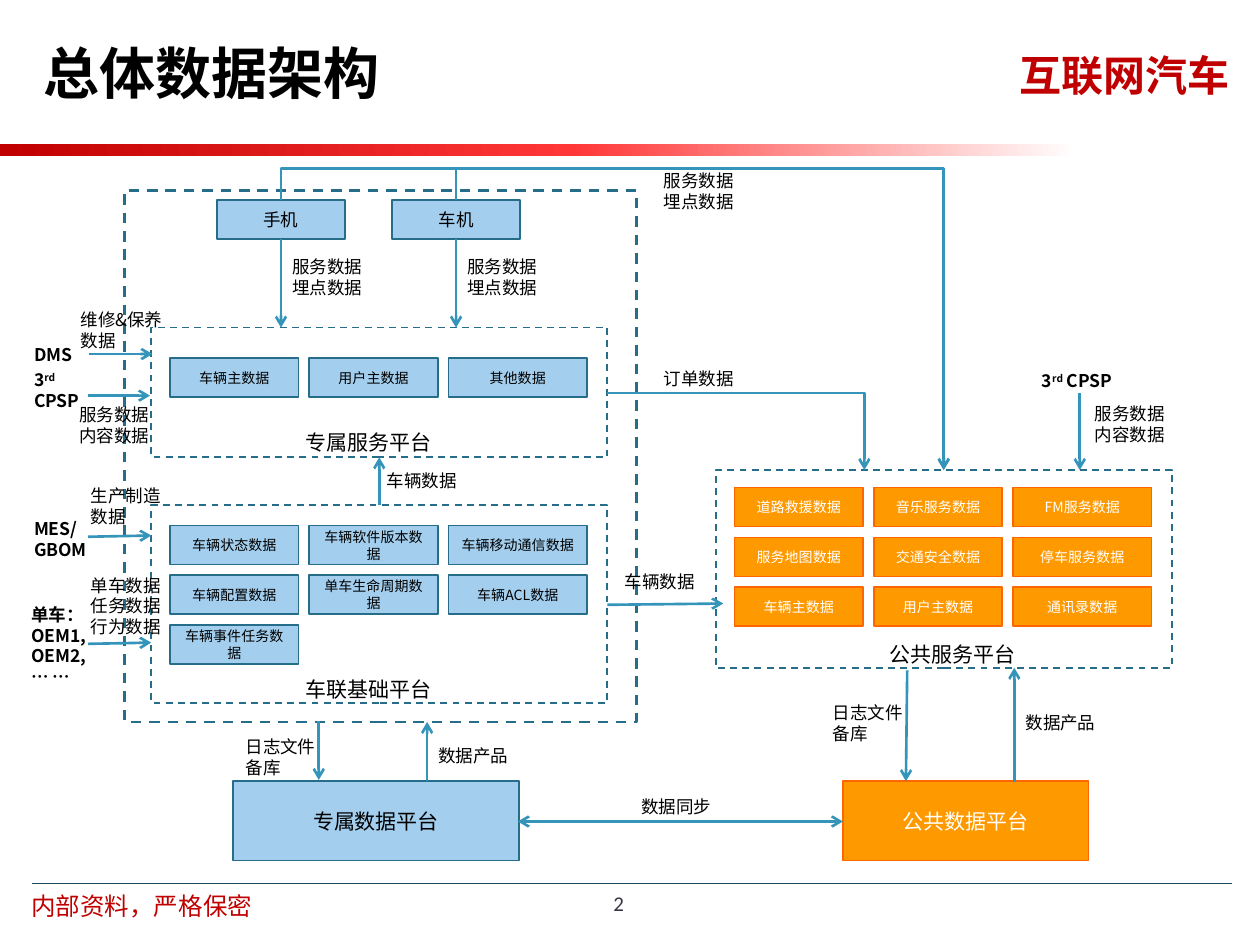
import copy

from lxml import etree
from pptx import Presentation
from pptx import util as u
from pptx.dml.color import RGBColor
from pptx.enum import dml, shapes, text
from pptx.oxml.ns import qn

FONT = "Noto Sans CJK SC"
BLACK = RGBColor(0, 0, 0)
WHITE = RGBColor(0xFF, 0xFF, 0xFF)
RED = RGBColor(0xC0, 0, 0)
BRIGHT_RED = RGBColor(0xFF, 0x37, 0x37)
PALE_BLUE = RGBColor(0xA3, 0xCE, 0xED)
DARK_BLUE = RGBColor(0x26, 0x6D, 0x8A)
ARROW_BLUE = RGBColor(0x34, 0x94, 0xBA)
RULE_BLUE = RGBColor(0x1A, 0x4A, 0x5D)
ORANGE = RGBColor(0xFF, 0x99, 0)
DEEP_ORANGE = RGBColor(0xFF, 0x66, 0)
GREY = RGBColor(0x37, 0x35, 0x45)
LEFT, CENTER = text.PP_ALIGN.LEFT, text.PP_ALIGN.CENTER
TOP, MIDDLE = text.MSO_ANCHOR.TOP, text.MSO_ANCHOR.MIDDLE


def inches(*lengths):
    """Turn plain numbers into lengths."""
    return [u.Inches(length) for length in lengths]


def write(shape, words, size=10, color=BLACK, bold=False, font=FONT,
          align=LEFT, anchor=TOP, margins=(0.1, 0.05)):
    """Fill a shape with lines of text; ^marks^ enclose superscripts."""
    frame = shape.text_frame
    frame.word_wrap = True
    frame.vertical_anchor = anchor
    frame.margin_left = frame.margin_right = u.Inches(margins[0])
    frame.margin_top = frame.margin_bottom = u.Inches(margins[1])
    for i, line in enumerate(words.split("\n")):
        paragraph = frame.add_paragraph() if i else frame.paragraphs[0]
        paragraph.alignment = align
        paragraph.line_spacing = u.Pt(size * 1.2)
        for j, piece in enumerate(line.split("^")):
            if not piece:
                continue
            run = paragraph.add_run()
            run.text = piece
            run.font.size, run.font.bold = u.Pt(size), bold
            run.font.name, run.font.color.rgb = font, color
            properties = run.font._element
            etree.SubElement(properties, qn("a:ea")).set("typeface", font)
            if j % 2:
                properties.set("baseline", "30000")


class Diagram:
    """The current slide and the style of its elements."""

    def __init__(self, slide):
        """Keep the slide to draw on."""
        self.shapes = slide.shapes

    def rect(self, *box):
        """Add a rectangle without a shadow."""
        shape = self.shapes.add_shape(shapes.MSO_SHAPE.RECTANGLE, *inches(*box))
        shape.shadow.inherit = False
        return shape

    def block(self, words, *box, size=8, public=False):
        """Add a filled block, orange for public data and blue otherwise."""
        shape = self.rect(*box)
        shape.fill.solid()
        shape.fill.fore_color.rgb = ORANGE if public else PALE_BLUE
        shape.line.color.rgb = DEEP_ORANGE if public else DARK_BLUE
        shape.line.width = u.Pt(1)
        write(shape, words, size=size, color=WHITE if public else BLACK,
              align=CENTER, anchor=MIDDLE,
              margins=(0, 0) if public else (0.1, 0.05))

    def frame(self, *box, width=1):
        """Add a dashed outline."""
        shape = self.rect(*box)
        shape.fill.background()
        shape.line.color.rgb = DARK_BLUE
        shape.line.width = u.Pt(width)
        shape.line.dash_style = dml.MSO_LINE.DASH

    def platform(self, name, left, top, height, name_at, grid_top, rows, public=False):
        """Add a dashed platform with its name and a three-column grid."""
        self.frame(left, top, 3.62, height)
        for r, row in enumerate(rows):
            for c, words in enumerate(row):
                self.block(words, left + 0.15 + 1.105 * c, grid_top + 0.395 * r,
                           1.1 if c == 2 else 1.02, 0.31, public=public)
        self.text(name, *name_at, 1.47, 0.3, size=12)

    def band(self, box, stops):
        """Add a band with a left-to-right gradient of (position, colour)."""
        shape = self.rect(*box)
        shape.line.fill.background()
        shape.fill.gradient()
        shape.fill.gradient_angle = 0
        first = shape.fill.gradient_stops[0]._gs
        first.addnext(copy.deepcopy(first))
        for stop, (position, color) in zip(shape.fill.gradient_stops, stops):
            stop.position, stop.color.rgb = position, color

    def text(self, words, *box, **style):
        """Add a text box."""
        write(self.shapes.add_textbox(*inches(*box)), words, **style)

    def label(self, words, left, top, width=0.76, bold=False):
        """Add a compact label as high as its lines."""
        self.text(words, left, top, width, 0.17 * (words.count("\n") + 1),
                  bold=bold, margins=(0.04, 0))

    def line(self, start, end, color=ARROW_BLUE, width=1.5, ends=("tailEnd",),
             kind=shapes.MSO_CONNECTOR.STRAIGHT):
        """Add a connector with arrowheads at the given ends."""
        link = self.shapes.add_connector(kind, *inches(*start, *end))
        link.line.color.rgb, link.line.width = color, u.Pt(width)
        outline = link.line._get_or_add_ln()
        for end_name in ends:
            etree.SubElement(outline, qn("a:" + end_name)).set("type", "arrow")
        etree.SubElement(link._element.spPr, qn("a:effectLst"))
        return link

    def elbow(self, start, end, bend, upright=False):
        """Add a bent arrow; an upright one leaves its start vertically."""
        (x1, y1), (x2, y2) = start, end
        if upright:
            mid_x, mid_y = (x1 + x2) / 2, (y1 + y2) / 2
            half_w, half_h = (y2 - y1) / 2, (x2 - x1) / 2
            start = mid_x - half_w, mid_y - half_h
            end = mid_x + half_w, mid_y + half_h
        link = self.line(start, end, kind=shapes.MSO_CONNECTOR.ELBOW)
        properties = link._element.spPr
        if upright:
            transform = properties.find(qn("a:xfrm"))
            transform.set("rot", "16200000")
            transform.set("flipH", "1")
        guide = etree.SubElement(properties.find(".//" + qn("a:avLst")), qn("a:gd"))
        guide.set("name", "adj1")
        guide.set("fmla", f"val {round(bend * 100000)}")


deck = Presentation()
deck.slide_width, deck.slide_height = inches(10, 7.5)
d = Diagram(deck.slides.add_slide(deck.slide_layouts[6]))

# Header and footer
d.band((0, 1.14, 8.56, 0.1), [(0, RED), (0.53, BRIGHT_RED), (1, WHITE)])
d.line((0.25, 7.01), (9.78, 7.01), color=RULE_BLUE, width=0.5, ends=())
d.text("内部资料，严格保密", 0.12, 7.02, 2.01, 0.36, size=14, color=RED, align=CENTER)
d.text("互联网汽车", 7.99, 0.34, 1.87, 0.52, size=24, color=RED, bold=True, align=CENTER)
d.text("总体数据架构", 0.25, 0.11, 7.35, 0.93, size=32, bold=True, anchor=MIDDLE)
d.text("2", 4.67, 6.97, 0.48, 0.4, size=12, color=GREY, font="Calibri",
       align=CENTER, anchor=MIDDLE)

# Platforms
d.platform("车联基础平台", 1.2, 4.01, 1.57, (2.33, 5.32), 4.17, [
    ("车辆状态数据", "车辆软件版本数据", "车辆移动通信数据"),
    ("车辆配置数据", "单车生命周期数据", "车辆ACL数据"),
    ("车辆事件任务数据",)])
d.platform("专属服务平台", 1.2, 2.6, 1.03, (2.33, 3.36), 2.84, [
    ("车辆主数据", "用户主数据", "其他数据")])
d.platform("公共服务平台", 5.68, 3.73, 1.57, (6.96, 5.04), 3.87, [
    ("道路救援数据", "音乐服务数据", "FM服务数据"),
    ("服务地图数据", "交通安全数据", "停车服务数据"),
    ("车辆主数据", "用户主数据", "通讯录数据")], public=True)
d.frame(0.99, 1.51, 4.06, 4.22, width=1.5)
d.block("专属数据平台", 1.85, 6.2, 2.27, 0.63, size=12)
d.block("公共数据平台", 6.69, 6.2, 1.95, 0.63, size=12, public=True)

# Terminals
SERVICE, CONTENT = "服务数据\n埋点数据", "服务数据\n内容数据"
for terminal, x in (("手机", 2.23), ("车机", 3.62)):
    d.block(terminal, x - 0.51, 1.59, 1.02, 0.31, size=10)
    d.line((x, 1.9), (x, 2.6))
    d.label(SERVICE, x + 0.05, 2.03)
    d.elbow((x, 1.59), (7.49, 3.73), -0.117, upright=True)
d.elbow((4.82, 3.12), (6.86, 3.73), 1)

# Data flows
for start, end in [
        ((0.71, 2.81), (1.21, 2.81)), ((0.7, 3.14), (1.19, 3.14)),
        ((0.7, 4.26), (1.2, 4.25)), ((0.7, 5.11), (1.2, 5.1)),
        ((4.82, 4.8), (5.74, 4.79)), ((3.01, 4.01), (3.01, 3.63)),
        ((8.57, 3.12), (8.57, 3.73)), ((2.53, 5.72), (2.53, 6.19)),
        ((3.39, 6.2), (3.39, 5.73)), ((7.2, 5.32), (7.19, 6.2)),
        ((8.05, 6.21), (8.05, 5.3))]:
    d.line(start, end)
d.line((4.11, 6.52), (6.69, 6.52), ends=("headEnd", "tailEnd"))

# Sources
for source, x, y, width in [
        ("DMS", 0.23, 2.73, 0.62), ("3^rd^\nCPSP", 0.23, 2.93, 0.79),
        ("MES/\nGBOM", 0.23, 4.11, 0.62),
        ("单车：\nOEM1,\nOEM2,\n… …", 0.21, 4.79, 0.71),
        ("3^rd^ CPSP", 8.23, 2.94, 0.86)]:
    d.label(source, x, y, width, bold=True)

# Flow names
for flow, x, y in [
        ("维修&保养\n数据", 0.6, 2.45), (CONTENT, 0.59, 3.21),
        ("生产制造\n数据", 0.68, 3.85), ("单车数据\n任务数据\n行为数据", 0.68, 4.56),
        ("车辆数据", 3.03, 3.73), ("车辆数据", 4.92, 4.53),
        (SERVICE, 5.23, 1.35), ("订单数据", 5.23, 2.92), (CONTENT, 8.65, 3.2),
        ("日志文件\n备库", 1.91, 5.84), ("数据产品", 3.44, 5.91),
        ("日志文件\n备库", 6.57, 5.57), ("数据产品", 8.1, 5.65),
        ("数据同步", 5.05, 6.32)]:
    d.label(flow, x, y, 0.86)

deck.save("out.pptx")
